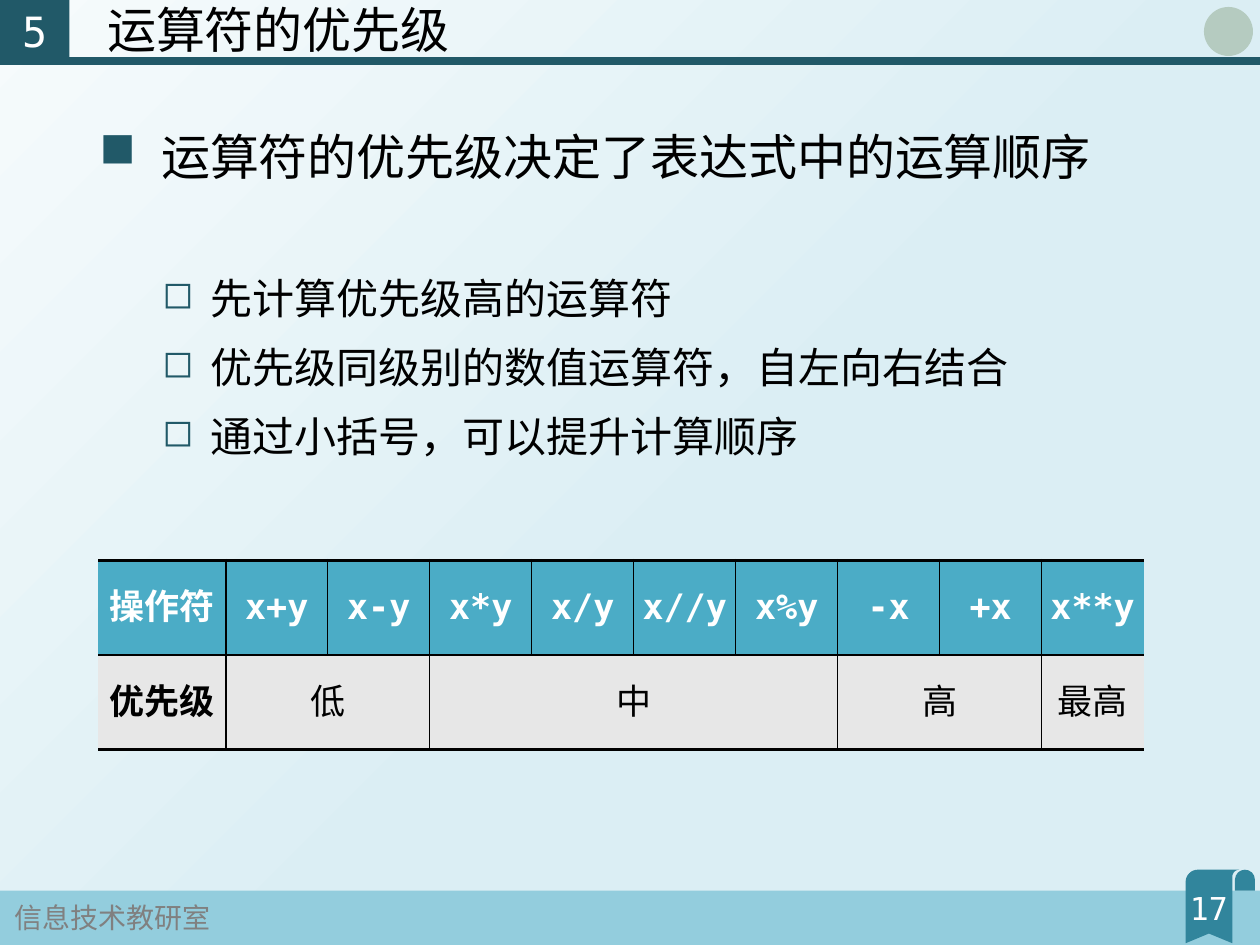
from math import cos, radians, sin

from lxml import etree
from pptx import Presentation
from pptx.dml.color import RGBColor
from pptx.enum.shapes import MSO_CONNECTOR, MSO_SHAPE
from pptx.enum.text import MSO_ANCHOR, PP_ALIGN
from pptx.oxml.ns import qn
from pptx.util import Pt

LEFT, MID = PP_ALIGN.LEFT, PP_ALIGN.CENTER
TOP, CENTER = MSO_ANCHOR.TOP, MSO_ANCHOR.MIDDLE
RECT, OVAL = MSO_SHAPE.RECTANGLE, MSO_SHAPE.OVAL
LINE = MSO_CONNECTOR.STRAIGHT

BLACK = RGBColor(0, 0, 0)
WHITE = RGBColor(255, 255, 255)
GRAY = RGBColor(0x80, 0x80, 0x80)
DARK = RGBColor(0x21, 0x59, 0x68)
TEAL = RGBColor(0x31, 0x85, 0x9C)
BAND = RGBColor(0x93, 0xCD, 0xDD)
HEAD = RGBColor(0x4B, 0xAC, 0xC6)
PALE = RGBColor(0xE7, 0xE7, 0xE7)
MARK = RGBColor(0xB5, 0xCB, 0xC0)
FADE = [(0, RGBColor(0xF6, 0xFB, 0xFC)), (0.56, RGBColor(0xDB, 0xEE, 0xF4))]
MONO, SANS = "DejaVu Sans Mono", "Noto Sans CJK JP"

TITLE, PART, PAGE = "运算符的优先级", "5", "17"
FOOT = "信息技术教研室"
POINT = "运算符的优先级决定了表达式中的运算顺序"
RULES = [
    "先计算优先级高的运算符",
    "优先级同级别的数值运算符，自左向右结合",
    "通过小括号，可以提升计算顺序",
]
SIGNS = ["操作符", "x+y", "x-y", "x*y", "x/y", "x//y", "x%y", "-x", "+x", "x**y"]
RANKS = [("优先级", 1), ("低", 2), ("中", 4), ("高", 2), ("最高", 1)]


def add_tag(node, tag, **attrs):
    return etree.SubElement(node, qn(tag), attrs)


def put_text(frame, text, size=20, color=BLACK, font=MONO, bold=False, align=LEFT,
             more=False, space=None, gap=0, mark=None, scale=100, indent=0, hang=0):
    para = frame.add_paragraph() if more else frame.paragraphs[0]
    para.alignment = align
    if space:
        para.line_spacing = space
    para.space_before = Pt(gap)
    props = para._p.get_or_add_pPr()
    props.set("marL", str(Pt(indent)))
    props.set("indent", str(Pt(-hang)))
    if mark:
        add_tag(add_tag(props, "a:buClr"), "a:srgbClr", val=str(DARK))
        add_tag(props, "a:buSzPct", val=str(scale * 1000))
        add_tag(props, "a:buChar", char=mark)
    run = para.add_run()
    run.text = text
    run.font.size = Pt(size)
    run.font.bold = bold
    run.font.color.rgb = color
    run.font.name = font
    add_tag(run._r.get_or_add_rPr(), "a:ea", typeface=font)


def paint(shape, color):
    shape.shadow.inherit = False
    shape.fill.solid()
    shape.fill.fore_color.rgb = color
    shape.line.fill.background()


def add_block(slide, kind, box, color):
    shape = slide.shapes.add_shape(kind, *map(Pt, box))
    paint(shape, color)
    return shape


def add_box(slide, box, wrap=True):
    frame = slide.shapes.add_textbox(*map(Pt, box)).text_frame
    frame.word_wrap = wrap
    return frame


def arc(x, y, r, start, end):
    steps = [radians(start + (end - start) * i / 8) for i in range(9)]
    return [(Pt(x + r * cos(a)), Pt(y - r * sin(a))) for a in steps]


def add_ribbon(slide):
    top, low, left, right = 497, 539, 677.5, 704.2
    body = arc(left + 7, top + 7, 7, 180, 90) + arc(right + 4, top + 4, 4, 90, 180)
    body += [(Pt(x), Pt(y)) for x, y in [(right, low), (690.8, 533.5), (left, low)]]
    curl = arc(711.4, top + 5.7, 5.7, 180, 0)
    curl += [(Pt(717.1), Pt(509)), (Pt(705.7), Pt(509))]
    draw = slide.shapes.build_freeform(*body[0], scale=1.0)
    draw.add_line_segments(body[1:])
    draw.move_to(*curl[0])
    draw.add_line_segments(curl[1:])
    paint(draw.convert_to_shape(), TEAL)


def set_cell(cell, text, fill, edges, **look):
    props = cell._tc.get_or_add_tcPr()
    for side, width in zip("LRTB", edges):
        line = add_tag(props, "a:ln" + side, w=str(Pt(width)))
        if width:
            add_tag(add_tag(line, "a:solidFill"), "a:srgbClr", val=str(BLACK))
        else:
            add_tag(line, "a:noFill")
    cell.fill.solid()
    cell.fill.fore_color.rgb = fill
    cell.margin_left = cell.margin_right = cell.margin_top = cell.margin_bottom = 0
    cell.vertical_anchor = CENTER
    if text:
        put_text(cell.text_frame, text, align=MID, **look)


def add_grid(slide):
    last = len(SIGNS) - 1
    first, wide, high = 73, 58.3, 54
    box = (56, 320.2, first + wide * last, high * 2)
    grid = slide.shapes.add_table(2, last + 1, *map(Pt, box)).table
    grid.first_row = grid.horz_banding = False
    for i, col in enumerate(grid.columns):
        col.width = Pt(wide if i else first)
    ranks = [t for rank, span in RANKS for t in [rank] + [""] * (span - 1)]
    for i, (sign, rank) in enumerate(zip(SIGNS, ranks)):
        sides = (int(i > 0), int(i < last))
        set_cell(grid.cell(0, i), sign, HEAD, sides + (2, 1), color=WHITE, bold=True)
        set_cell(grid.cell(1, i), rank, PALE, sides + (1, 2), bold=i == 0)
    start = 0
    for _, span in RANKS:
        if span > 1:
            grid.cell(1, start).merge(grid.cell(1, start + span - 1))
        start += span


def main():
    deck = Presentation()
    deck.slide_width, deck.slide_height = Pt(720), Pt(540)
    slide = deck.slides.add_slide(deck.slide_layouts[5])
    back = slide.background.fill
    back.gradient()
    back.gradient_angle = 315
    for stop, (place, color) in zip(back.gradient_stops, FADE):
        stop.position = place
        stop.color.rgb = color

    add_block(slide, RECT, (0, 509, 720, 31), BAND)
    add_ribbon(slide)
    put_text(add_box(slide, (1.4, 511.2, 127.4, 26.6), wrap=False), FOOT,
             size=16, color=GRAY, font=SANS)
    rule = slide.shapes.add_connector(LINE, 0, Pt(34.7), Pt(720), Pt(34.7))
    rule.line.color.rgb = DARK
    rule.line.width = Pt(4.5)
    add_tag(rule._element.spPr, "a:effectLst")
    add_block(slide, OVAL, (688, 4, 28, 28), MARK)

    body = add_box(slide, (49.7, 62, 620.6, 214.6))
    put_text(body, POINT, size=28, space=1.2, mark="■", indent=35.3, hang=35.3)
    for i, text in enumerate(RULES):
        put_text(body, text, size=24, more=True, space=1.2, gap=5 if i else 44,
                 mark="◻", scale=90, indent=63.4, hang=27.4)
    put_text(add_box(slide, (665.3, 504.7, 51, 29)), PAGE,
             size=18, color=WHITE, align=MID)

    title = slide.shapes.title
    title.left, title.top, title.width, title.height = map(Pt, (39.6, 0.7, 465, 35.3))
    title.text_frame.vertical_anchor = CENTER
    put_text(title.text_frame, TITLE, size=28, space=0.9, indent=14.4)
    part = add_block(slide, RECT, (0, -0.7, 39.6, 36.7), DARK).text_frame
    part.vertical_anchor = CENTER
    put_text(part, PART, size=23.8, color=WHITE, align=MID)
    add_grid(slide)
    deck.save("out.pptx")


if __name__ == "__main__":
    main()
